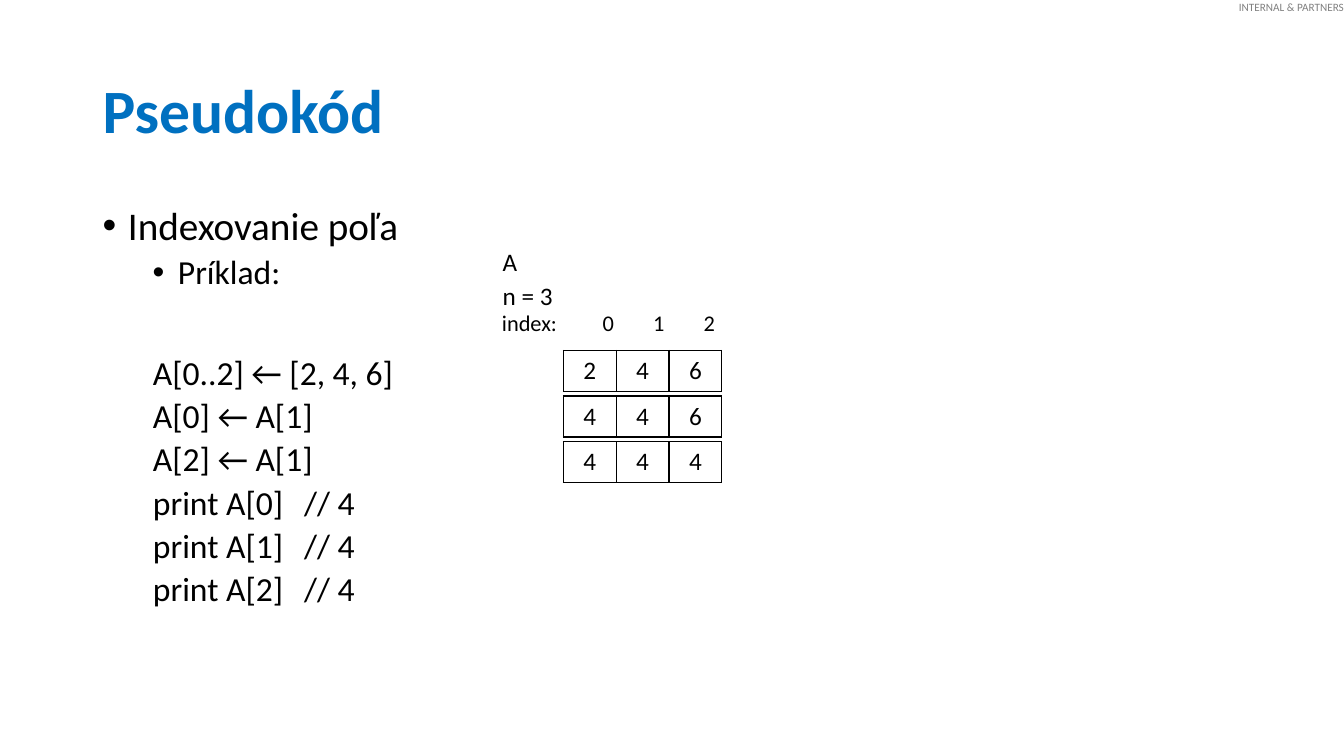
from lxml import etree
from pptx import Presentation
from pptx.dml.color import RGBColor
from pptx.enum.text import MSO_ANCHOR, MSO_AUTO_SIZE, PP_ALIGN
from pptx.oxml.ns import qn
from pptx.util import Cm, Pt

LEFT, CENTER = PP_ALIGN.LEFT, PP_ALIGN.CENTER
TOP, MIDDLE = MSO_ANCHOR.TOP, MSO_ANCHOR.MIDDLE
FIXED = MSO_AUTO_SIZE.NONE
COLORS = {"title": "0070C0", "text": "000000", "label": "808080"}


class Deck:
    font = "Calibri"

    def __init__(self):
        self.prs = Presentation()
        self.prs.slide_width, self.prs.slide_height = Cm(33.87), Cm(19.05)
        self.slide = self.prs.slides.add_slide(self.prs.slide_layouts[1])

    def apply(self, target, values):
        for name, value in values.items():
            setattr(target, name, value)

    def place(self, shape, box):
        names = ("left", "top", "width", "height")
        self.apply(shape, dict(zip(names, map(Cm, box))))

    def line(self, para, text, size, color="text", bold=False, align=LEFT,
             gap=0, pitch=1.0, left=0, hang=0, level=0, bullet=False, tabs=()):
        self.apply(para, {"text": text, "alignment": align, "level": level,
                          "space_before": Pt(gap), "line_spacing": pitch})
        for run in para.runs:
            self.apply(run.font, {"name": self.font, "size": Pt(size), "bold": bold})
            run.font.color.rgb = RGBColor.from_string(COLORS[color])
        props = para._p.get_or_add_pPr()
        props.set("marL", str(Cm(left)))
        props.set("indent", str(Cm(-hang)))
        if bullet:
            etree.SubElement(props, qn("a:buFont"), typeface="Arial")
            etree.SubElement(props, qn("a:buChar"), char="•")
        else:
            etree.SubElement(props, qn("a:buNone"))
        if tabs:
            stops = etree.SubElement(props, qn("a:tabLst"))
            for stop in tabs:
                etree.SubElement(stops, qn("a:tab"), pos=str(Cm(stop)), algn="l")

    def fill(self, shape, lines, anchor=TOP, wrap=True, **frame):
        body = shape.text_frame
        self.apply(body, {"auto_size": FIXED, "word_wrap": wrap,
                          "vertical_anchor": anchor, **frame})
        for num, (text, style) in enumerate(lines):
            para = body.add_paragraph() if num else body.paragraphs[0]
            self.line(para, text, **style)

    def title(self, box, text, **style):
        shape = self.slide.shapes.title
        self.place(shape, box)
        self.fill(shape, [(text, style)], MIDDLE)

    def body(self, box, lines):
        shape = self.slide.placeholders[1]
        self.place(shape, box)
        self.fill(shape, lines)

    def text(self, box, lines, **frame):
        shape = self.slide.shapes.add_textbox(*map(Cm, box))
        self.fill(shape, lines, **frame)

    def border(self, cell):
        props = cell._tc.get_or_add_tcPr()
        for num, side in enumerate(("a:lnL", "a:lnR", "a:lnT", "a:lnB")):
            edge = etree.Element(qn(side), w=str(Pt(1)))
            paint = etree.SubElement(edge, qn("a:solidFill"))
            etree.SubElement(paint, qn("a:srgbClr"), val=COLORS["text"])
            props.insert(num, edge)

    def table(self, box, values):
        table = self.slide.shapes.add_table(1, len(values), *map(Cm, box)).table
        self.apply(table, {"first_row": False, "horz_banding": False})
        for cell, value in zip(table.rows[0].cells, values):
            self.line(cell.text_frame.paragraphs[0], str(value), 18, align=CENTER)
            cell.fill.background()
            self.border(cell)


def main():
    deck = Deck()
    bare = dict.fromkeys(("margin_left", "margin_top", "margin_right", "margin_bottom"), 0)
    deck.text((31.22, 0, 2.72, 0.33),
              [("INTERNAL & PARTNERS", {"size": 8, "color": "label"})], wrap=False, **bare)
    deck.title((2.33, 1.01, 29.21, 3.68), "Pseudokód",
               size=44, color="title", bold=True, pitch=0.9)

    head = {"size": 28, "gap": 10, "pitch": 0.9, "left": 0.64, "hang": 0.64, "bullet": True}
    item = {**head, "size": 24, "gap": 5, "left": 1.9, "level": 1}
    code = {"size": 24, "gap": 5, "pitch": 0.9, "left": 1.27, "level": 1, "tabs": [6.35]}
    steps = ["A[0] ← A[1]", "A[2] ← A[1]"]
    steps += [f"print A[{num}]\t// 4" for num in range(3)]
    deck.body((2.33, 5.07, 29.21, 12.09), [
        ("Indexovanie poľa", head),
        ("Príklad:", item),
        ("A[0..2] ← [2, 4, 6]", {**code, "gap": 46}),
        *((step, code) for step in steps)])

    note = {"size": 18, "gap": 5, "pitch": 0.9, "left": 1.27}
    deck.text((11.15, 6.17, 4.22, 2.54), [("A", note), ("n = 3", note)])
    stops = [2.16 + 1.31 * num for num in range(3)]
    deck.text((12.4, 7.75, 6.12, 1.02),
              [("index:\t0\t1\t2", {"size": 16, "gap": 5, "pitch": 0.9, "tabs": stops})])
    for num, values in enumerate(([2, 4, 6], [4, 4, 6], [4, 4, 4])):
        deck.table((14.2, 8.83 + 1.15 * num, 3.99, 1.02), values)
    deck.prs.save("out.pptx")


if __name__ == "__main__":
    main()
